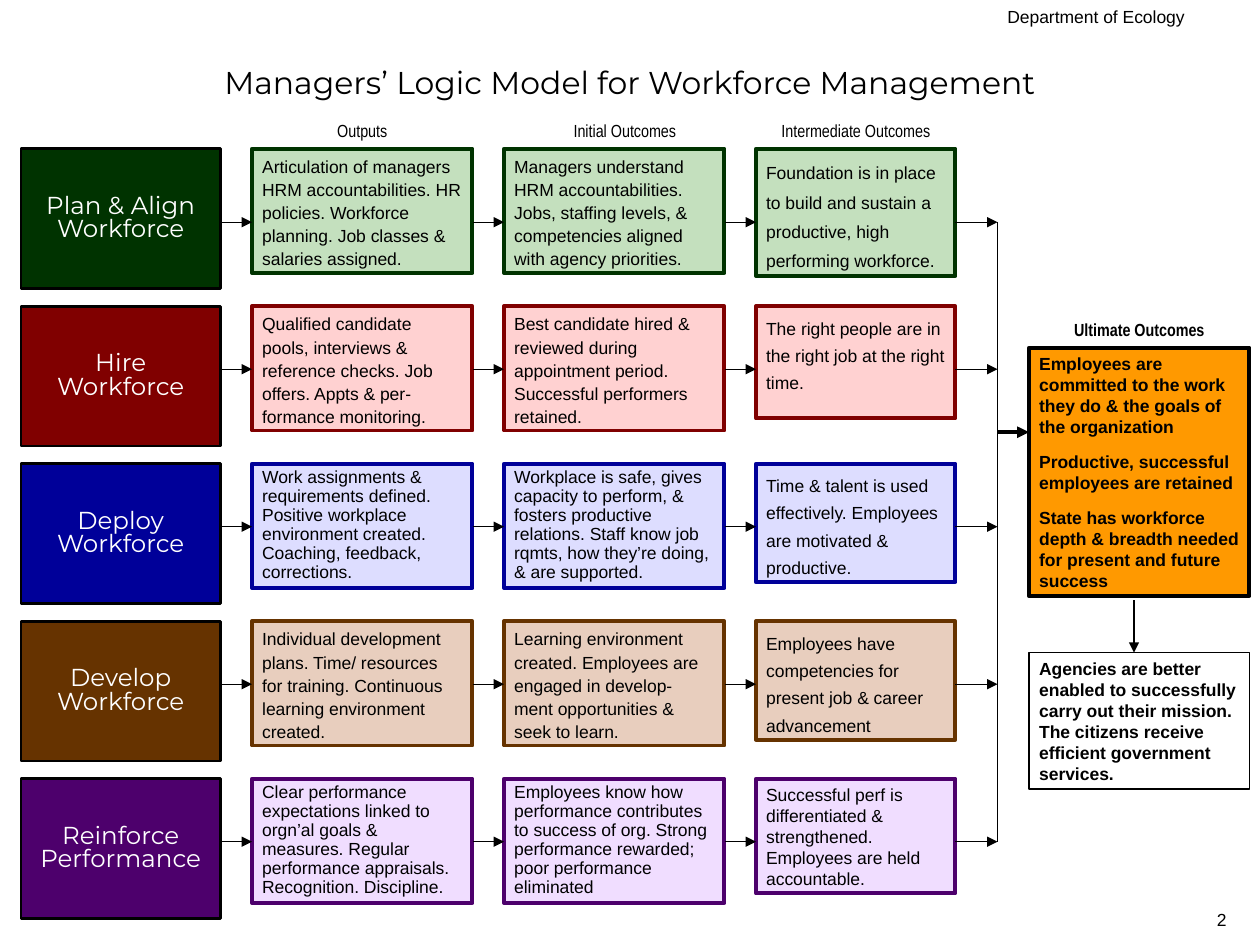
from lxml import etree
from pptx import Presentation
from pptx.dml.color import RGBColor
from pptx.enum.shapes import MSO_CONNECTOR, MSO_SHAPE
from pptx.enum.text import MSO_ANCHOR, PP_ALIGN
from pptx.oxml.ns import qn
from pptx.util import Pt

rgb = RGBColor.from_string

prs = Presentation()
prs.slide_width, prs.slide_height = Pt(720), Pt(540)
s = prs.slides.add_slide(prs.slide_layouts[5])


def add_text(x, y, w, h, paragraphs, font="Arial", size=10, color="000000",
             bold=False, align=PP_ALIGN.LEFT, spacing=1.0, gap=0,
             anchor=MSO_ANCHOR.TOP, fill=None, line=None, weight=2.25):
    """Add a text box, or a filled rectangle when a fill is given."""
    if fill:
        sp = s.shapes.add_shape(MSO_SHAPE.RECTANGLE, Pt(x), Pt(y), Pt(w), Pt(h))
        sp.shadow.inherit = False
        sp.fill.solid()
        sp.fill.fore_color.rgb = rgb(fill)
        sp.line.color.rgb = rgb(line)
        sp.line.width = Pt(weight)
    else:
        sp = s.shapes.add_textbox(Pt(x), Pt(y), Pt(w), Pt(h))
    tf = sp.text_frame
    if fill:
        tf.margin_left = tf.margin_right = Pt(5.8)
        tf.margin_top = tf.margin_bottom = Pt(2.9)
    tf.word_wrap = True
    tf.vertical_anchor = anchor
    for i, text in enumerate(paragraphs):
        p = tf.add_paragraph() if i else tf.paragraphs[0]
        p.text = text
        p.alignment = align
        p.line_spacing = spacing
        if i:
            p.space_before = Pt(gap)
        p.font.name, p.font.size, p.font.bold = font, Pt(size), bold
        p.font.color.rgb = rgb(color)


def add_line(x1, y1, x2, y2, weight=0.75, arrow=True):
    c = s.shapes.add_connector(MSO_CONNECTOR.STRAIGHT, Pt(x1), Pt(y1), Pt(x2), Pt(y2))
    c.line.color.rgb = rgb("000000")
    c.line.width = Pt(weight)
    if arrow:
        etree.SubElement(c.line._get_or_add_ln(), qn("a:tailEnd"), type="triangle")
    etree.SubElement(c._element.spPr, qn("a:effectLst"))


# Title
title = s.shapes.title
title.left, title.top, title.width, title.height = Pt(36), Pt(21.6), Pt(648), Pt(50.4)
tf = title.text_frame
tf.text = "Managers’ Logic Model for Workforce Management"
tf.vertical_anchor = MSO_ANCHOR.MIDDLE
p = tf.paragraphs[0]
p.alignment = PP_ALIGN.CENTER
p.font.name, p.font.size = "Montserrat", Pt(18)
p.font.color.rgb = rgb("000000")

# Department name and page number
add_text(324, 0, 360, 18, ["Department of Ecology"], align=PP_ALIGN.RIGHT)
add_text(540, 516, 168, 24, ["2"], align=PP_ALIGN.RIGHT)

# Column headings
for x, y, text, bold in [
    (144, 64.8, "Outputs", False),
    (294, 64.8, "Initial Outcomes", False),
    (426, 64.8, "Intermediate Outcomes", False),
    (588, 178.6, "Ultimate Outcomes", True),
]:
    add_text(x, y, 126, 19.4, [text], font="Arial Narrow", bold=bold,
             align=PP_ALIGN.CENTER)

# Rows: stage, dark colour, light colour, three cells,
# spacing of the first two cells, spacing and height of the third
rows = [
    ("Plan & Align Workforce", "003300", "C4E0BE",
     ["Articulation of managers HRM accountabilities. HR policies. Workforce "
      "planning. Job classes & salaries assigned.",
      "Managers understand HRM accountabilities. Jobs, staffing levels, & "
      "competencies aligned with agency priorities.",
      "Foundation is in place to build and sustain a productive, high "
      "performing workforce."],
     1.1, 1.4, 72.7),
    ("Hire\vWorkforce", "800000", "FFD1D1",
     ["Qualified candidate pools, interviews & reference checks. Job offers. "
      "Appts & per-\vformance monitoring.",
      "Best candidate hired & reviewed during appointment period. Successful "
      "performers retained.",
      "The right people are in the right job at the right time."],
     1.1, 1.3, 64.1),
    ("Deploy\vWorkforce", "000099", "DDDDFF",
     ["Work assignments & requirements defined. Positive workplace environment "
      "created. Coaching, feedback, corrections.",
      "Workplace is safe, gives capacity to perform, & fosters productive "
      "relations. Staff know job rqmts, how they’re doing, & are supported.",
      "Time & talent is used effectively. Employees are motivated & productive."],
     0.9, 1.3, 67.7),
    ("Develop Workforce", "663300", "E8CEBE",
     ["Individual development plans. Time/ resources for training. Continuous "
      "learning environment created.",
      "Learning environment created. Employees are engaged in develop-\vment "
      "opportunities & seek to learn.",
      "Employees have competencies for present job & career advancement"],
     1.1, 1.3, 67.7),
    ("Reinforce Performance", "4D006C", "F0DDFF",
     ["Clear performance expectations linked to orgn’al goals & measures. "
      "Regular performance appraisals. Recognition. Discipline.",
      "Employees know how performance contributes to success of org. Strong "
      "performance rewarded; poor performance eliminated",
      "Successful perf is differentiated & strengthened. Employees are held "
      "accountable."],
     0.9, 1.0, 65.5),
]
TOP, PITCH, BUS_X = 85, 90, 570
arrow_ys = [127, 211, 301, 391, 481]

for i, (stage, dark, light, cells, spacing, last_spacing, last_h) in enumerate(rows):
    y = TOP + i * PITCH
    add_text(12, y, 114, 80, [stage], font="Montserrat", size=14, color="FFFFFF",
             align=PP_ALIGN.CENTER, spacing=0.8, anchor=MSO_ANCHOR.MIDDLE,
             fill=dark, line="000000", weight=1.5)
    layout = [(144, 126, 71, spacing), (288, 126, 71, spacing),
              (432, 114, last_h, last_spacing)]
    for (x, w, h, leading), text in zip(layout, cells):
        add_text(x, y, w, h, [text], spacing=leading, fill=light, line=dark)
    for x1, x2 in [(126, 144), (270, 288), (414, 432), (546, BUS_X)]:
        add_line(x1, arrow_ys[i], x2, arrow_ys[i])

# Ultimate outcomes
add_text(588, 198.7, 126, 142, [
    "Employees are committed to the work they do & the goals of the organization",
    "Productive, successful employees are retained",
    "State has workforce depth & breadth needed for present and future success",
], bold=True, gap=8.1, fill="FF9900", line="000000")
add_text(588, 373, 126, 77.8, [
    "Agencies are better enabled to successfully carry out their mission. The "
    "citizens receive efficient government services.",
], bold=True, fill="FFFFFF", line="000000", weight=0.75)

# Collecting line and arrows to the ultimate outcomes
add_line(BUS_X, arrow_ys[0], BUS_X, arrow_ys[-1], arrow=False)
add_line(BUS_X, 247, 588, 247, weight=2.25)
add_line(648, 343, 648, 373)

prs.save("out.pptx")
